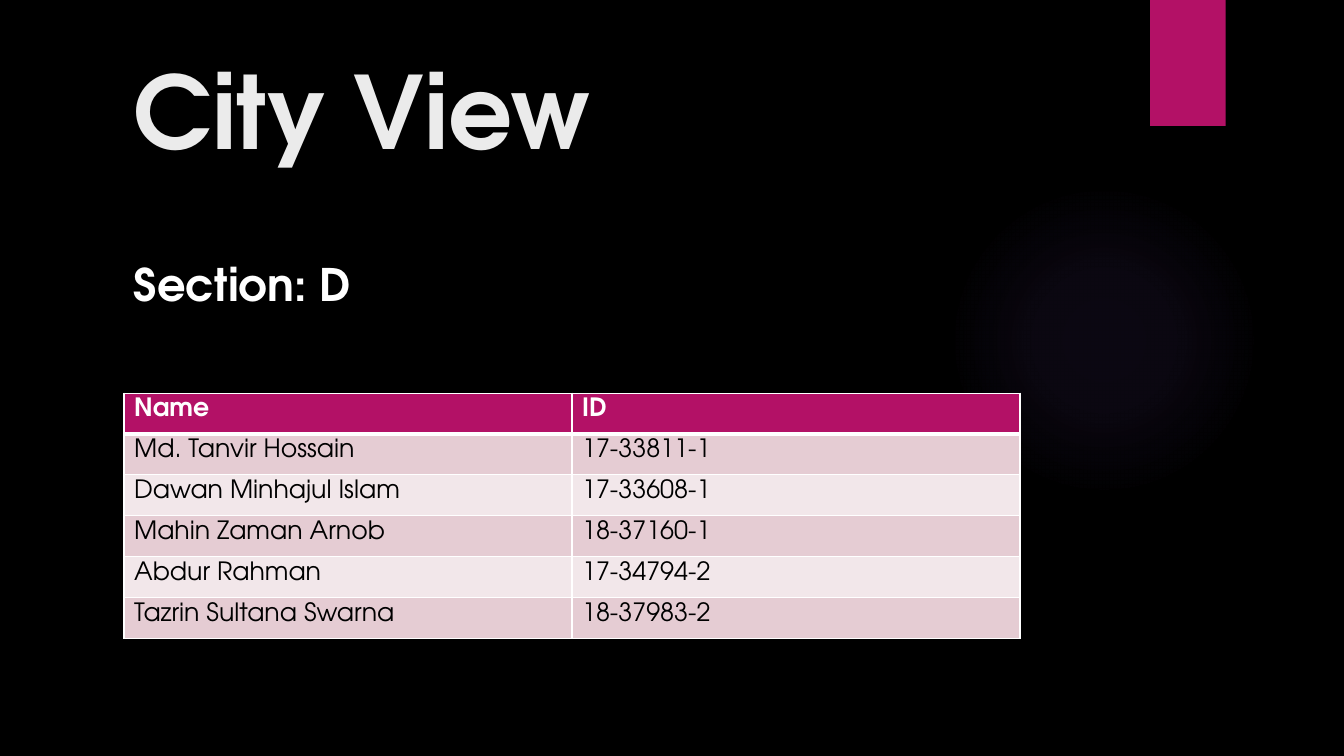
"""Build the City View team slide with its heading, section and member table."""
from dataclasses import dataclass

from pptx import Presentation
from pptx.dml.color import RGBColor
from pptx.enum.shapes import MSO_SHAPE
from pptx.enum.text import MSO_ANCHOR
from pptx.oxml import parse_xml
from pptx.oxml.ns import nsdecls
from pptx.shapes.autoshape import Shape
from pptx.slide import Slide
from pptx.table import _Cell
from pptx.text.text import TextFrame
from pptx.util import Pt


@dataclass(frozen=True)
class Theme:
    font: str = "TeX Gyre Adventor"
    background: str = "000000"
    accent: str = "B31166"
    glow: str = "9B6BF2"
    heading: str = "EBEBEB"
    light: str = "FFFFFF"
    dark: str = "000000"
    bands: tuple[str, str] = ("E5CCD3", "F2E7EA")
    heading_size: float = 72
    section_size: float = 32
    table_size: float = 18
    grid_line: float = 1
    header_line: float = 3


@dataclass(frozen=True)
class Box:
    left: float
    top: float
    width: float
    height: float

    def lengths(self) -> tuple[Pt, Pt, Pt, Pt]:
        return Pt(self.left), Pt(self.top), Pt(self.width), Pt(self.height)


@dataclass(frozen=True)
class Label:
    text: str
    box: Box
    size: float
    color: str
    anchor: MSO_ANCHOR


@dataclass(frozen=True)
class Member:
    name: str
    id: str


@dataclass(frozen=True)
class GlowStop:
    position: int
    opacity: int


THEME = Theme()
GLOW_BOX = Box(677.5, 131.8, 221.8, 221.8)
RIBBON_BOX = Box(821.5, 0, 54, 90)
TABLE_BOX = Box(88.6, 280.8, 640, 175.2)
GLOW_STOPS = (GlowStop(0, 7), GlowStop(36, 6), GlowStop(69, 0))
LABELS = (
    Label("City View", Box(88.6, 27.4, 694.8, 97.2),
          THEME.heading_size, THEME.heading, MSO_ANCHOR.BOTTOM),
    Label("Section: D", Box(88.6, 180, 260, 46),
          THEME.section_size, THEME.light, MSO_ANCHOR.TOP),
)
HEADER = Member("Name", "ID")
MEMBERS = (
    Member("Md. Tanvir Hossain", "17-33811-1"),
    Member("Dawan Minhajul Islam", "17-33608-1"),
    Member("Mahin Zaman Arnob", "18-37160-1"),
    Member("Abdur Rahman", "17-34794-2"),
    Member("Tazrin Sultana Swarna", "18-37983-2"),
)


def write(frame: TextFrame, text: str, size: float, color: str, bold: bool) -> None:
    frame.text = text
    font = frame.paragraphs[0].runs[0].font
    font.name, font.size, font.bold = THEME.font, Pt(size), bold
    font.color.rgb = RGBColor.from_string(color)


def add_plain_shape(slide: Slide, kind: MSO_SHAPE, box: Box) -> Shape:
    shape = slide.shapes.add_shape(kind, *box.lengths())
    shape.shadow.inherit = False
    shape.line.fill.background()
    return shape


def add_glow(slide: Slide) -> None:
    glow = add_plain_shape(slide, MSO_SHAPE.OVAL, GLOW_BOX)
    glow.fill.background()
    stops = "".join(
        f'<a:gs pos="{stop.position * 1000}"><a:srgbClr val="{THEME.glow}">'
        f'<a:alpha val="{stop.opacity * 1000}"/></a:srgbClr></a:gs>'
        for stop in GLOW_STOPS
    )
    gradient = parse_xml(
        f'<a:gradFill {nsdecls("a")} rotWithShape="1"><a:gsLst>{stops}</a:gsLst>'
        '<a:path path="circle"><a:fillToRect l="50000" t="50000" r="50000" b="50000"/>'
        '</a:path></a:gradFill>'
    )
    properties = glow.element.spPr
    properties.replace(properties.find("{*}noFill"), gradient)


def add_ribbon(slide: Slide) -> None:
    ribbon = add_plain_shape(slide, MSO_SHAPE.RECTANGLE, RIBBON_BOX)
    ribbon.fill.solid()
    ribbon.fill.fore_color.rgb = RGBColor.from_string(THEME.accent)


def add_label(slide: Slide, label: Label) -> None:
    frame = slide.shapes.add_textbox(*label.box.lengths()).text_frame
    frame.word_wrap = True
    frame.vertical_anchor = label.anchor
    write(frame, label.text, label.size, label.color, True)


def set_borders(cell: _Cell, top: float, bottom: float) -> None:
    widths = {"L": THEME.grid_line, "R": THEME.grid_line, "T": top, "B": bottom}
    properties = cell._tc.get_or_add_tcPr()
    for side, width in widths.items():
        properties.append(parse_xml(
            f'<a:ln{side} {nsdecls("a")} w="{Pt(width)}"><a:solidFill>'
            f'<a:srgbClr val="{THEME.light}"/></a:solidFill></a:ln{side}>'
        ))


def add_members(slide: Slide) -> None:
    rows = (HEADER, *MEMBERS)
    table = slide.shapes.add_table(len(rows), 2, *TABLE_BOX.lengths()).table
    table.horz_banding = False
    for row, member in enumerate(rows):
        table.rows[row].height = Pt(TABLE_BOX.height / len(rows))
        is_header = row == 0
        fill = THEME.accent if is_header else THEME.bands[(row - 1) % 2]
        color = THEME.light if is_header else THEME.dark
        top = THEME.header_line if row == 1 else THEME.grid_line
        bottom = THEME.header_line if is_header else THEME.grid_line
        for column, text in enumerate((member.name, member.id)):
            cell = table.cell(row, column)
            write(cell.text_frame, text, THEME.table_size, color, is_header)
            set_borders(cell, top, bottom)
            cell.fill.solid()
            cell.fill.fore_color.rgb = RGBColor.from_string(fill)


def main() -> None:
    presentation = Presentation()
    presentation.slide_width, presentation.slide_height = Pt(960), Pt(540)
    slide = presentation.slides.add_slide(presentation.slide_layouts[6])
    slide.background.fill.solid()
    slide.background.fill.fore_color.rgb = RGBColor.from_string(THEME.background)
    add_glow(slide)
    add_ribbon(slide)
    for label in LABELS:
        add_label(slide, label)
    add_members(slide)
    presentation.save("out.pptx")


if __name__ == "__main__":
    main()
